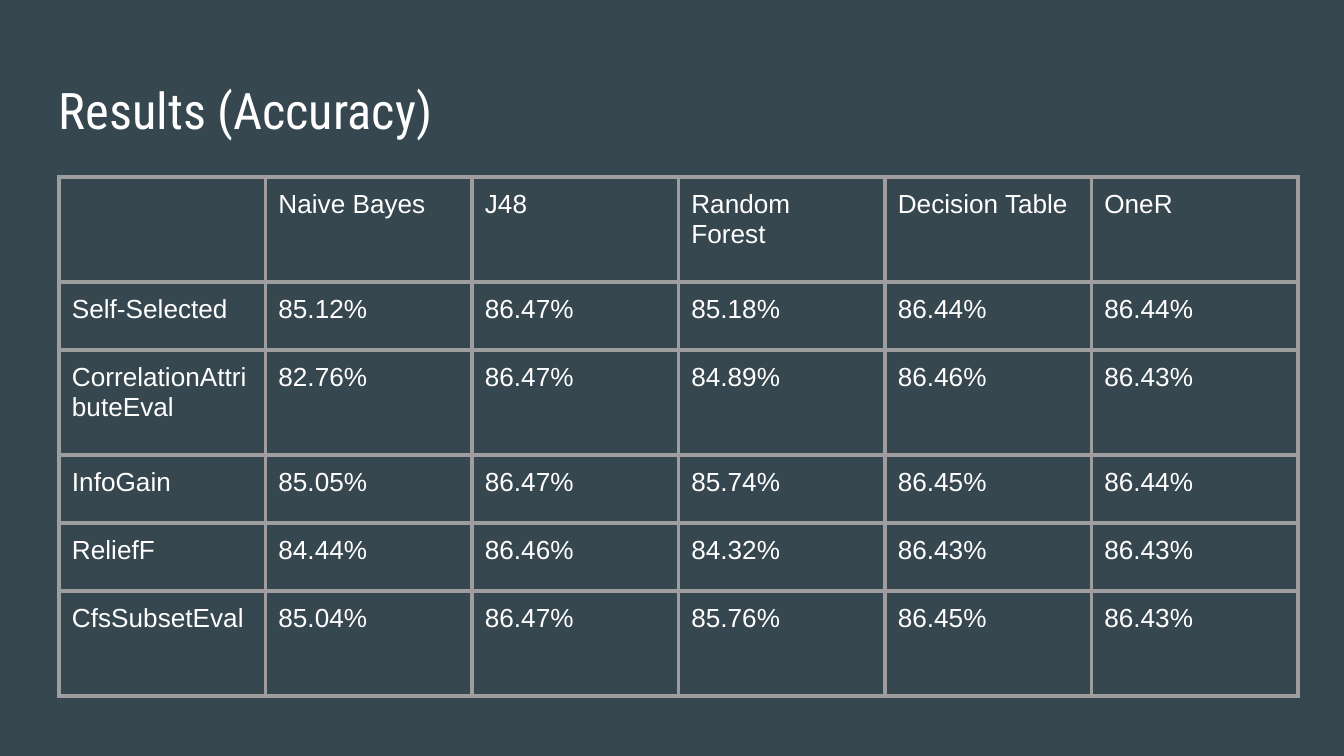
from lxml import etree
from pptx import Presentation
from pptx.dml.color import RGBColor
from pptx.enum.text import MSO_ANCHOR
from pptx.oxml.ns import qn
from pptx.util import Emu, Pt

TOP = MSO_ANCHOR.TOP
SCALE = 914400 / 134.4  # EMU per px
PAD = 13
BACK, WHITE, GRID = "37474F", "FFFFFF", "9E9E9E"

ROW_HEIGHTS = [105, 68, 105, 68, 68, 105]
RESULTS = [
    ["", "Naive Bayes", "J48", "Random\nForest", "Decision Table", "OneR"],
    ["Self-Selected", "85.12%", "86.47%", "85.18%", "86.44%", "86.44%"],
    ["CorrelationAttributeEval", "82.76%", "86.47%", "84.89%", "86.46%", "86.43%"],
    ["InfoGain", "85.05%", "86.47%", "85.74%", "86.45%", "86.44%"],
    ["ReliefF", "84.44%", "86.46%", "84.32%", "86.43%", "86.43%"],
    ["CfsSubsetEval", "85.04%", "86.47%", "85.76%", "86.45%", "86.43%"],
]


def px(n):
    return Emu(round(n * SCALE))


def rgb(color):
    return RGBColor.from_string(color)


def write(tf, text, *, size, font, color=WHITE):
    tf.word_wrap = True
    for i, line in enumerate(text.split("\n")):
        p = tf.paragraphs[0] if i == 0 else tf.add_paragraph()
        p.font.size = Pt(size)
        if line:
            r = p.add_run()
            r.text = line
            r.font.size = Pt(size)
            r.font.name = font
            r.font.color.rgb = rgb(color)


def set_margins(frame):
    frame.margin_left = frame.margin_right = px(PAD)
    frame.margin_top = frame.margin_bottom = px(PAD)
    frame.vertical_anchor = TOP


def set_borders(cell, color, width):
    tc_pr = cell._tc.get_or_add_tcPr()
    for i, side in enumerate(("lnL", "lnR", "lnT", "lnB")):
        ln = etree.Element(qn(f"a:{side}"), w=str(Pt(width)))
        fill = etree.SubElement(ln, qn("a:solidFill"))
        etree.SubElement(fill, qn("a:srgbClr"), val=color)
        tc_pr.insert(i, ln)


def add_title(s, text, x, y, w, h):
    tf = s.shapes.add_textbox(px(x), px(y), px(w), px(h)).text_frame
    set_margins(tf)
    write(tf, text, size=27, font="Roboto Condensed")


def add_results_table(s, rows, heights, x, y, w):
    n_cols = len(rows[0])
    table = s.shapes.add_table(len(rows), n_cols, px(x), px(y), px(w),
                               px(sum(heights))).table
    table.first_row = table.horz_banding = False
    for col in table.columns:
        col.width = px(w / n_cols)
    for row, height, values in zip(table.rows, heights, rows):
        row.height = px(height)
        for cell, value in zip(row.cells, values):
            set_margins(cell)
            cell.fill.background()
            set_borders(cell, GRID, 2.25)
            write(cell.text_frame, value, size=14, font="Arial")


def main():
    prs = Presentation()
    prs.slide_width, prs.slide_height = px(1344), px(756)
    s = prs.slides.add_slide(prs.slide_layouts[6])
    s.background.fill.solid()
    s.background.fill.fore_color.rgb = rgb(BACK)

    # Title
    add_title(s, "Results (Accuracy)", 46, 66, 1253, 84)
    # Accuracy by attribute selection and classifier
    add_results_table(s, RESULTS, ROW_HEIGHTS, 59, 177, 1239)

    prs.save("out.pptx")


if __name__ == "__main__":
    main()
